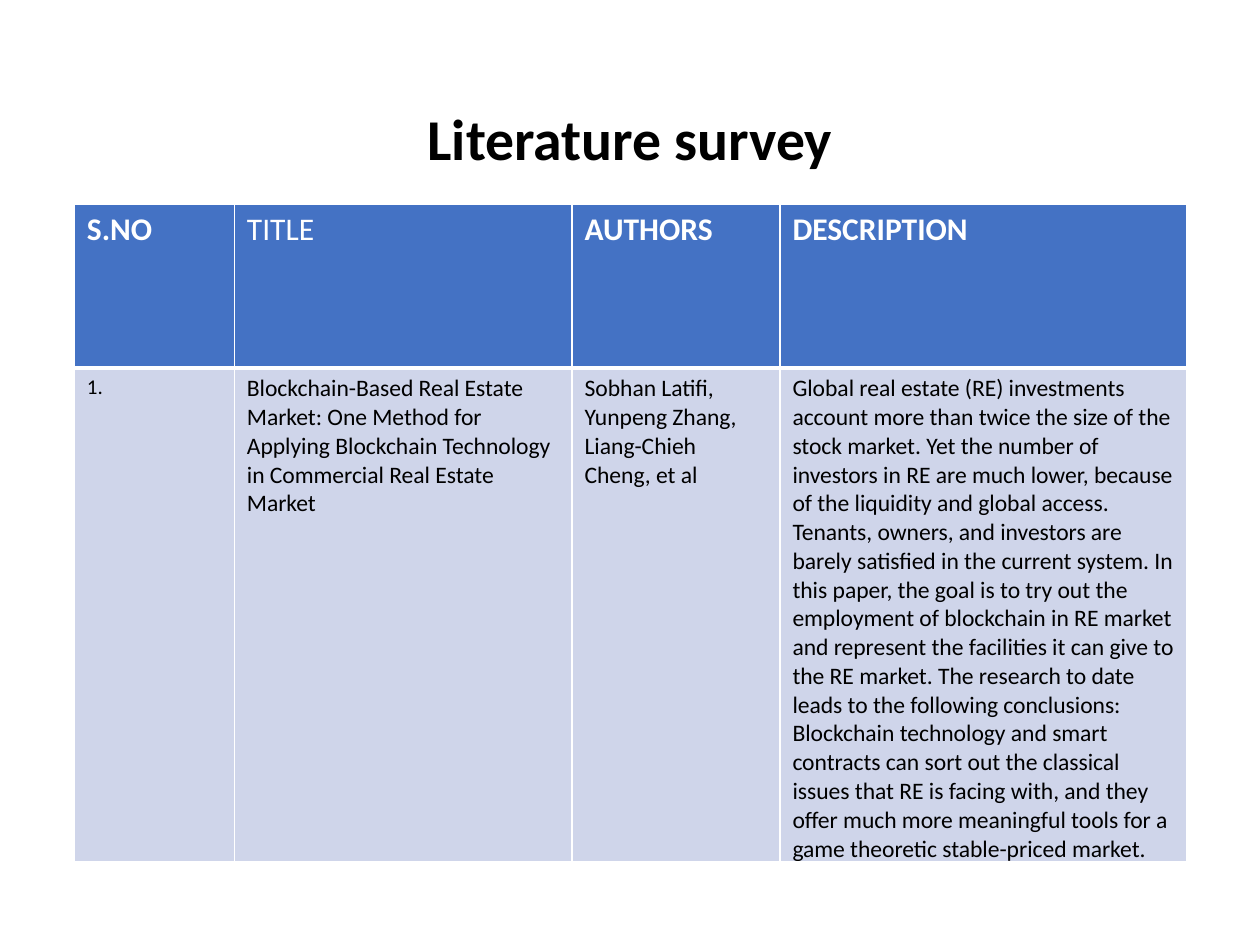
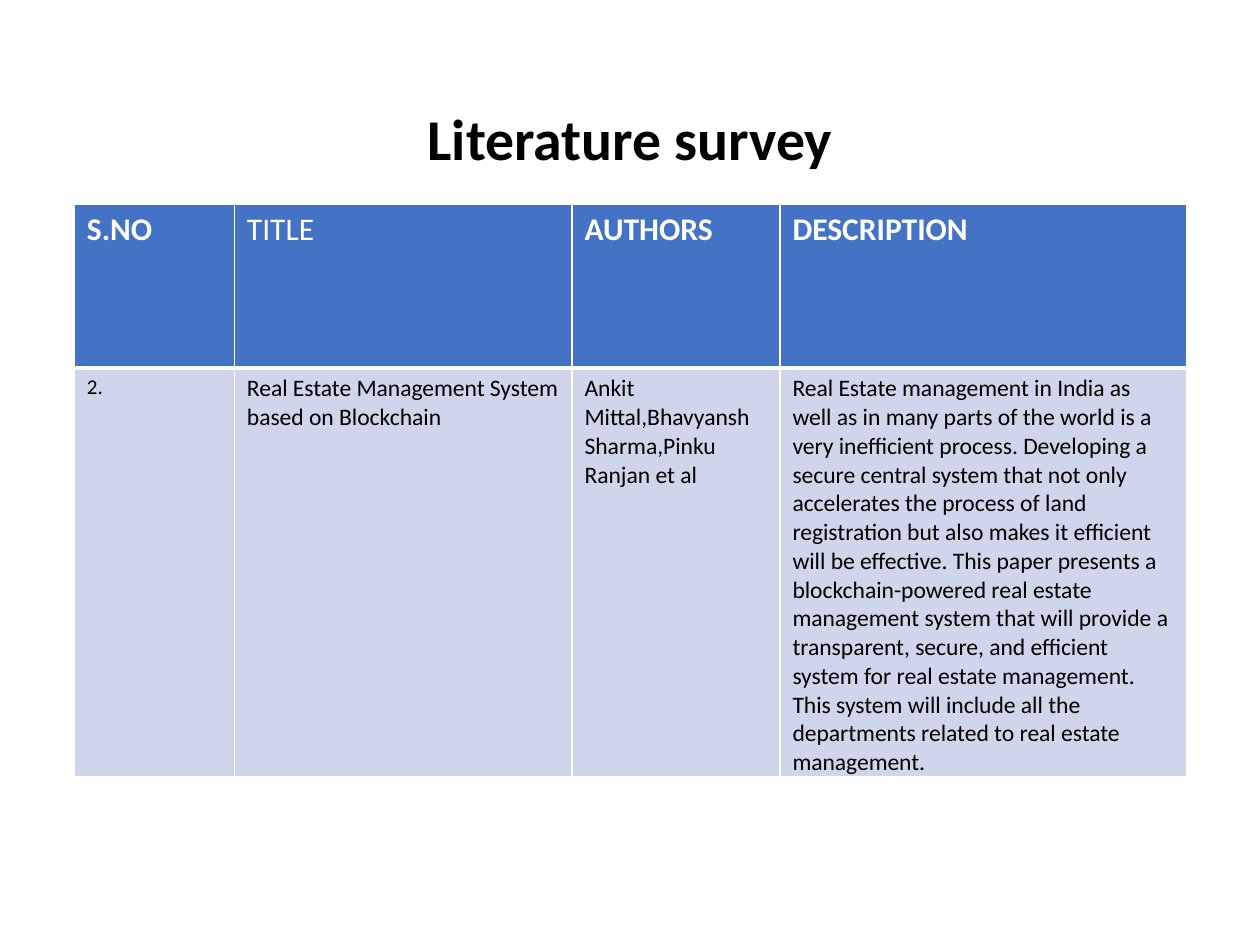
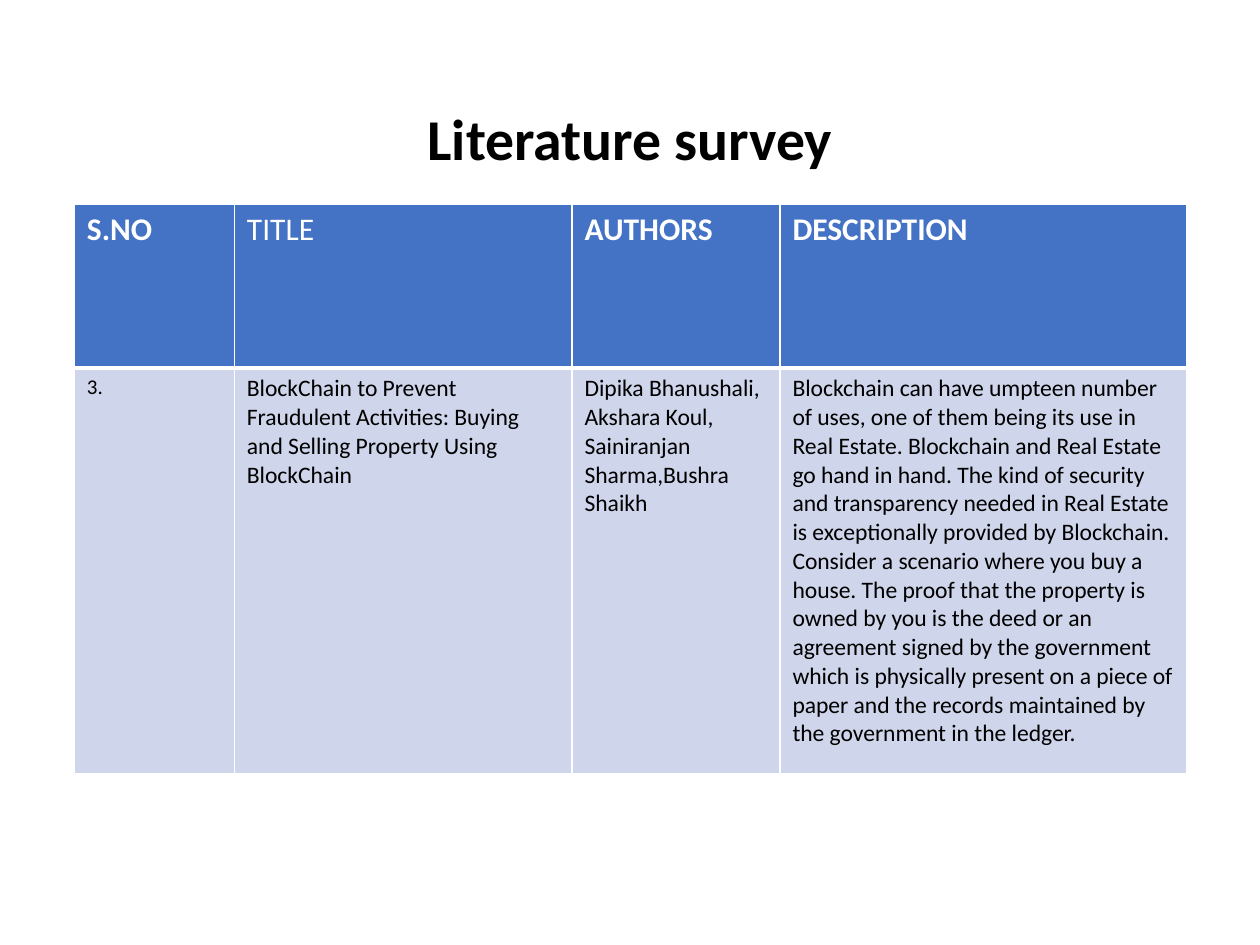
from lxml.etree import SubElement
from pptx import Presentation
from pptx.dml.color import RGBColor
from pptx.enum.text import MSO_ANCHOR, PP_ALIGN
from pptx.oxml.ns import qn
from pptx.util import Inches, Pt

COLORS = {"text": "000000", "white": "FFFFFF", "header": "4472C4", "body": "CFD5EA"}
FONT = "Calibri"
TITLE = "Literature survey"
COLUMN_WIDTHS = [1.27, 2.68, 1.65, 3.23]
ROW_HEIGHTS = [1.3, 3.22]
HEADERS = ["S.NO", "TITLE", "AUTHORS", "DESCRIPTION"]
PAPERS = [
    (
        "1.",
        "Blockchain-Based Real Estate Market: One Method for Applying Blockchain "
        "Technology in Commercial Real Estate Market",
        "Sobhan Latifi, Yunpeng Zhang, Liang-Chieh Cheng, et al",
        "Global real estate (RE) investments account more than twice the size of the "
        "stock market. Yet the number of investors in RE are much lower, because of the "
        "liquidity and global access. Tenants, owners, and investors are barely satisfied "
        "in the current system. In this paper, the goal is to try out the employment of "
        "blockchain in RE market and represent the facilities it can give to the RE "
        "market. The research to date leads to the following conclusions: Blockchain "
        "technology and smart contracts can sort out the classical issues that RE is "
        "facing with, and they offer much more meaningful tools for a game theoretic "
        "stable-priced market.",
    ),
    (
        "2.",
        "Real Estate Management System based on Blockchain",
        "Ankit Mittal,Bhavyansh Sharma,Pinku Ranjan et al",
        "Real Estate management in India as well as in many parts of the world is a very "
        "inefficient process. Developing a secure central system that not only "
        "accelerates the process of land registration but also makes it efficient will be "
        "effective. This paper presents a blockchain-powered real estate management "
        "system that will provide a transparent, secure, and efficient system for real "
        "estate management. This system will include all the departments related to real "
        "estate management.",
    ),
    (
        "3.",
        "BlockChain to Prevent Fraudulent Activities: Buying and Selling Property Using "
        "BlockChain",
        "Dipika Bhanushali, Akshara Koul, Sainiranjan Sharma,Bushra Shaikh",
        "Blockchain can have umpteen number of uses, one of them being its use in Real "
        "Estate. Blockchain and Real Estate go hand in hand. The kind of security and "
        "transparency needed in Real Estate is exceptionally provided by Blockchain. "
        "Consider a scenario where you buy a house. The proof that the property is owned "
        "by you is the deed or an agreement signed by the government which is physically "
        "present on a piece of paper and the records maintained by the government in the "
        "ledger.",
    ),
]


def set_text(p, text, size, color, bold):
    """Write text into a paragraph and set its font."""
    p.text = text
    p.font.name = FONT
    p.font.size = Pt(size)
    p.font.bold = bold
    p.font.color.rgb = RGBColor.from_string(COLORS[color])


def style_cell(cell, fill, top, bottom):
    """Give a cell white borders (widths in points) and a solid fill."""
    tcPr = cell._tc.get_or_add_tcPr()
    for side, width in (("L", 1), ("R", 1), ("T", top), ("B", bottom)):
        ln = SubElement(tcPr, qn(f"a:ln{side}"), w=str(Pt(width)))
        line_fill = SubElement(ln, qn("a:solidFill"))
        SubElement(line_fill, qn("a:srgbClr"), val=COLORS["white"])
    cell.fill.solid()
    cell.fill.fore_color.rgb = RGBColor.from_string(COLORS[fill])


prs = Presentation()
prs.slide_width = Inches(10)
prs.slide_height = Inches(7.5)

for paper in PAPERS:
    s = prs.slides.add_slide(prs.slide_layouts[6])

    title = s.shapes.add_textbox(Inches(0.69), Inches(0.4), Inches(8.62), Inches(1.45))
    tf = title.text_frame
    tf.word_wrap = True
    tf.vertical_anchor = MSO_ANCHOR.MIDDLE
    p = tf.paragraphs[0]
    p.alignment = PP_ALIGN.CENTER
    p.line_spacing = 0.9
    set_text(p, TITLE, 33, "text", True)

    table = s.shapes.add_table(
        len(ROW_HEIGHTS), len(COLUMN_WIDTHS), Inches(0.59), Inches(1.62),
        Inches(sum(COLUMN_WIDTHS)), Inches(sum(ROW_HEIGHTS)),
    ).table
    for row, height in zip(table.rows, ROW_HEIGHTS):
        row.height = Inches(height)

    for col, width in enumerate(COLUMN_WIDTHS):
        table.columns[col].width = Inches(width)
        header, body = table.cell(0, col), table.cell(1, col)
        style_cell(header, "header", 1, 3)
        style_cell(body, "body", 3, 1)
        set_text(header.text_frame.paragraphs[0], HEADERS[col], 18, "white",
                 HEADERS[col] != "TITLE")
        set_text(body.text_frame.paragraphs[0], paper[col], 12 if col == 0 else 13.5,
                 "text", False)

prs.save("out.pptx")
